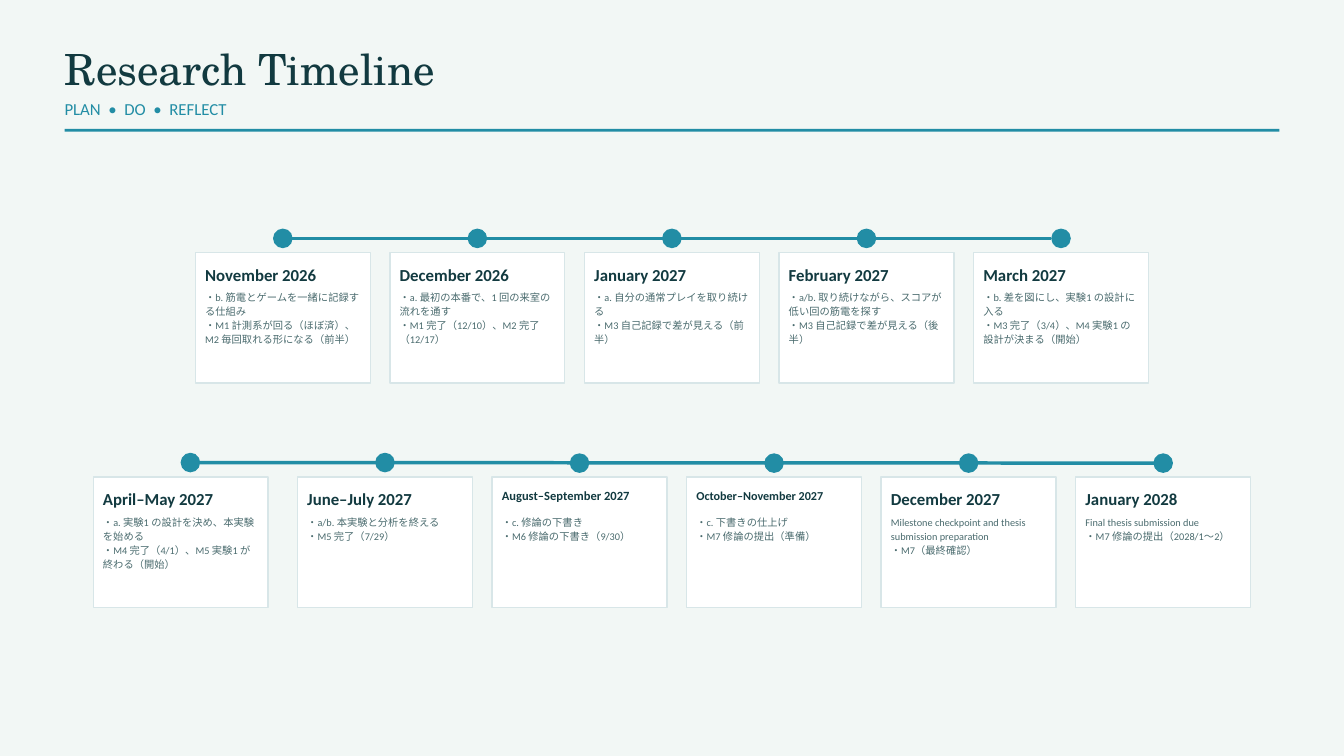
from dataclasses import dataclass

from lxml import etree
from pptx import Presentation
from pptx import util as u
from pptx.dml.color import RGBColor
from pptx.enum import shapes, text
from pptx.oxml.ns import qn
from pptx.shapes.autoshape import Shape
from pptx.slide import Slide

Pt = u.Pt

BACKGROUND = RGBColor(0xF2, 0xF7, 0xF5)
INK = RGBColor(0x12, 0x3A, 0x40)
TEAL = RGBColor(0x22, 0x8D, 0xA5)
BODY = RGBColor(0x4A, 0x6B, 0x6E)
WHITE = RGBColor(0xFF, 0xFF, 0xFF)
BORDER = RGBColor(0xD8, 0xE6, 0xE8)

SERIF = "TeX Gyre Schola"
SANS = "Calibri"

# Lengths in points
MARGIN = 69.12
PITCH = 208.45
CARD_WIDTH, CARD_HEIGHT = 187.4, 140
DOT = 21
PADDING = 10.45
DOT_TO_CARD = 15
LEADING = 1.4


@dataclass(frozen=True)
class Milestone:
    month: str
    tasks: tuple[str, ...]
    month_size: float = 18
    card_shift: float = 0
    dot_lift: float = 0


@dataclass(frozen=True)
class Row:
    first_center: float
    axis: float
    line_start: float
    line_end: float
    line_rise: float
    milestones: tuple[Milestone, ...]


ROWS = (
    Row(303, 255.4, 303, 1126.6, 0, (
        Milestone("November 2026", ("・b. 筋電とゲームを一緒に記録する仕組み",
                                    "・M1 計測系が回る（ほぼ済）、M2 毎回取れる形になる（前半）")),
        Milestone("December 2026", ("・a. 最初の本番で、1 回の来室の流れを通す",
                                    "・M1 完了（12/10）、M2 完了（12/17）")),
        Milestone("January 2027", ("・a. 自分の通常プレイを取り続ける",
                                   "・M3 自己記録で差が見える（前半）")),
        Milestone("February 2027", ("・a/b. 取り続けながら、スコアが低い回の筋電を探す",
                                    "・M3 自己記録で差が見える（後半）")),
        Milestone("March 2027", ("・b. 差を図にし、実験1 の設計に入る",
                                 "・M3 完了（3/4）、M4 実験1 の設計が決まる（開始）")),
    )),
    Row(204, 496.2, 214.4, 1246.4, 0.6, (
        Milestone("April–May 2027", ("・a. 実験1 の設計を決め、本実験を始める",
                                     "・M4 完了（4/1）、M5 実験1 が終わる（開始）"),
                  card_shift=-10.4, dot_lift=0.6),
        Milestone("June–July 2027", ("・a/b. 本実験と分析を終える", "・M5 完了（7/29）"),
                  dot_lift=0.6),
        Milestone("August–September 2027", ("・c. 修論の下書き", "・M6 修論の下書き（9/30）"),
                  month_size=13.4),
        Milestone("October–November 2027", ("・c. 下書きの仕上げ", "・M7 修論の提出（準備）"),
                  month_size=13),
        Milestone("December 2027", ("Milestone checkpoint and thesis submission preparation",
                                    "・M7（最終確認）")),
        Milestone("January 2028", ("Final thesis submission due",
                                   "・M7 修論の提出（2028/1〜2）")),
    )),
)


def add_text(slide: Slide, left: float, top: float, width: float, height: float,
             lines: tuple[str, ...], size: float, color: RGBColor, font: str = SANS,
             bold: bool = False, spacing: float | None = None) -> None:
    box = slide.shapes.add_textbox(Pt(left), Pt(top), Pt(width), Pt(height))
    frame = box.text_frame
    frame.margin_left = frame.margin_right = frame.margin_top = frame.margin_bottom = 0
    frame.word_wrap = True
    frame.auto_size = text.MSO_AUTO_SIZE.SHAPE_TO_FIT_TEXT
    frame.text = "\n".join(lines)
    for paragraph in frame.paragraphs:
        paragraph.line_spacing = Pt(spacing or round(size * LEADING, 1))
        paragraph.font.name = font
        paragraph.font.size = Pt(size)
        paragraph.font.bold = bold
        paragraph.font.color.rgb = color


def add_block(slide: Slide, kind: shapes.MSO_SHAPE, left: float, top: float,
              width: float, height: float, fill: RGBColor) -> Shape:
    shape = slide.shapes.add_shape(kind, Pt(left), Pt(top), Pt(width), Pt(height))
    shape.shadow.inherit = False
    shape.fill.solid()
    shape.fill.fore_color.rgb = fill
    shape.line.fill.background()
    return shape


def add_axis(slide: Slide, row: Row) -> None:
    line = slide.shapes.add_connector(
        shapes.MSO_CONNECTOR.STRAIGHT, Pt(row.line_start), Pt(row.axis - row.line_rise),
        Pt(row.line_end), Pt(row.axis))
    line.line.color.rgb = TEAL
    line.line.width = Pt(3.75)
    etree.SubElement(line._element.spPr, qn("a:effectLst"))


def add_milestone(slide: Slide, milestone: Milestone, center: float, axis: float) -> None:
    # Dot on the axis
    add_block(slide, shapes.MSO_SHAPE.OVAL, center - DOT / 2,
              axis - DOT / 2 - milestone.dot_lift, DOT, DOT, TEAL)

    # Card below it
    left = center - CARD_WIDTH / 2 + milestone.card_shift
    top = axis + DOT_TO_CARD
    card = add_block(slide, shapes.MSO_SHAPE.RECTANGLE, left, top,
                     CARD_WIDTH, CARD_HEIGHT, WHITE)
    card.line.color.rgb = BORDER
    card.line.width = Pt(1.5)

    # Month and tasks
    inner_left, inner_width = left + PADDING, CARD_WIDTH - 2 * PADDING
    add_text(slide, inner_left, top + 9.2, inner_width, milestone.month_size * LEADING,
             (milestone.month,), milestone.month_size, INK, bold=True)
    add_text(slide, inner_left, top + 39.8, inner_width, 54,
             milestone.tasks, 11, BODY, spacing=15)


def main() -> None:
    presentation = Presentation()
    presentation.slide_width = Pt(1440)
    presentation.slide_height = Pt(810)
    slide = presentation.slides.add_slide(presentation.slide_layouts[6])
    slide.background.fill.solid()
    slide.background.fill.fore_color.rgb = BACKGROUND

    # Header
    add_text(slide, MARGIN, 36.7, 1124.6, 61.2, ("Research Timeline",), 46, INK, SERIF)
    add_text(slide, MARGIN, 102.2, 600, 24.5, ("PLAN  •  DO  •  REFLECT",), 18, TEAL)
    add_block(slide, shapes.MSO_SHAPE.RECTANGLE, MARGIN, 138.2,
              1440 - 2 * MARGIN, 3, TEAL)

    # Timeline rows
    for row in ROWS:
        add_axis(slide, row)
        for index, milestone in enumerate(row.milestones):
            add_milestone(slide, milestone, row.first_center + index * PITCH, row.axis)

    presentation.save("out.pptx")


if __name__ == "__main__":
    main()
